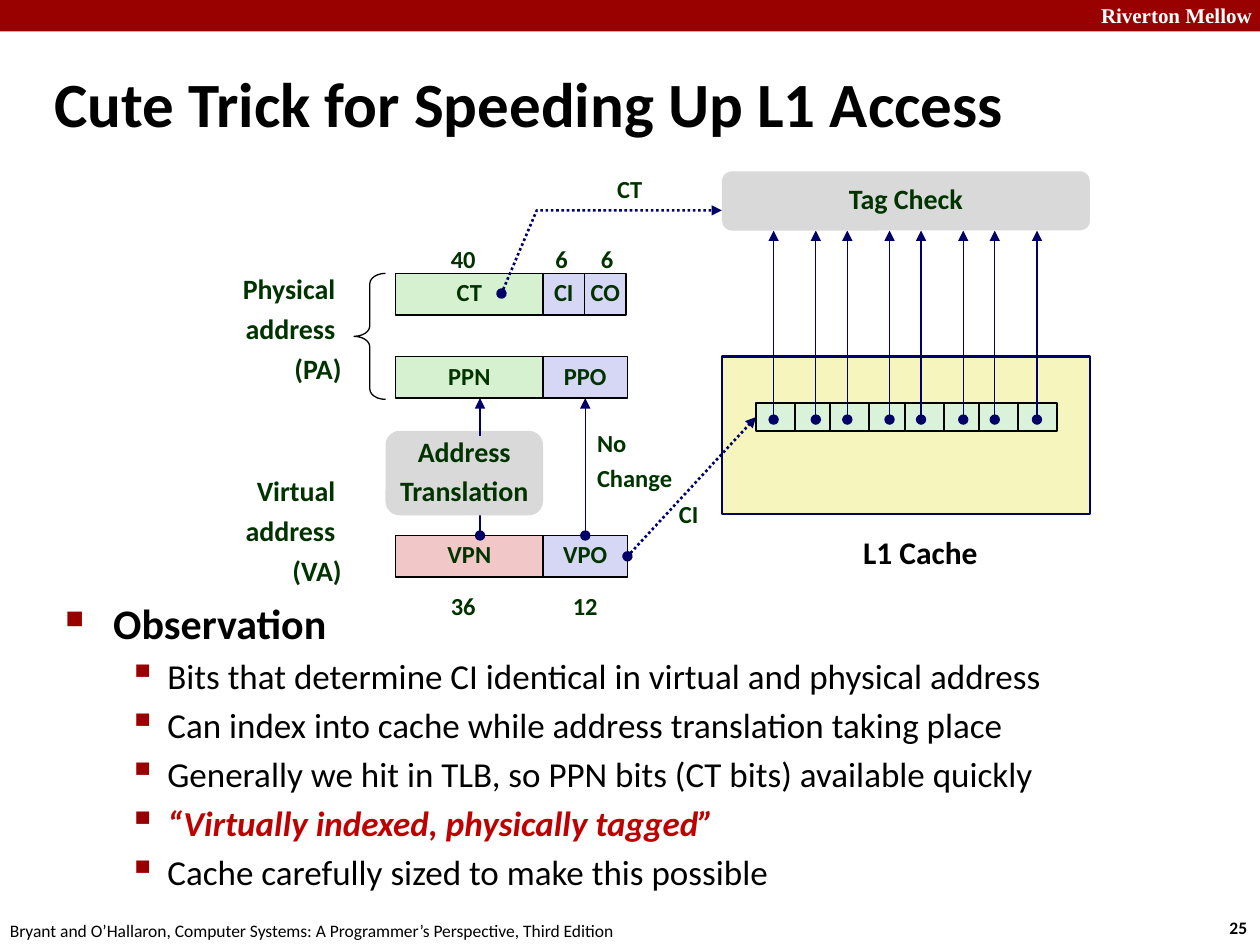
from typing import NamedTuple

from lxml import etree
from pptx import Presentation
from pptx import util as u
from pptx.dml.color import RGBColor
from pptx.enum import dml, shapes, text
from pptx.oxml.ns import qn

RED, NAVY, DARK_GREEN = "990000", "000066", "003300"
BLACK, GREY = "000000", "D9D9D9"
GREEN, LILAC, PINK, YELLOW, MINT = "D5F1CF", "D6D6F5", "F1C7C7", "F6F5BD", "DBF2DA"
LEFT, CENTER, RIGHT = text.PP_ALIGN.LEFT, text.PP_ALIGN.CENTER, text.PP_ALIGN.RIGHT
RECT = shapes.MSO_SHAPE.RECTANGLE
ROUNDED = shapes.MSO_SHAPE.ROUNDED_RECTANGLE


class Style(NamedTuple):
    size: float
    color: str = DARK_GREEN
    bold: bool = True
    italic: bool = False
    align: text.PP_ALIGN = CENTER
    before: float = 5.2
    spacing: float = 0.88
    font: str = "Calibri"


class Field(NamedTuple):
    name: str
    left: float
    top: float
    width: float
    fill: str


class Label(NamedTuple):
    wording: str
    left: float
    top: float
    width: float
    height: float
    style: Style
    wrap: bool = False


class Bullet(NamedTuple):
    wording: str
    style: Style
    char: str = "▪"
    percent: int = 110
    margin: float = 0.81
    hanging: float = 0.31
    level: int = 1


def rgb(color: str) -> RGBColor:
    return RGBColor.from_string(color)


def box(left: float, top: float, width: float, height: float) -> list[u.Length]:
    return [u.Inches(v) for v in (left, top, width, height)]


def style_paragraph(paragraph, style: Style) -> None:
    paragraph.alignment = style.align
    paragraph.space_before = u.Pt(style.before)
    paragraph.line_spacing = style.spacing
    font = paragraph.font
    font.name, font.size = style.font, u.Pt(style.size)
    font.bold, font.italic = style.bold, style.italic
    font.color.rgb = rgb(style.color)


def write(frame, wording: str, style: Style, wrap: bool = False) -> None:
    frame.word_wrap = wrap
    frame.text = wording
    for paragraph in frame.paragraphs:
        style_paragraph(paragraph, style)


def add_label(slide, label: Label) -> None:
    frame = slide.shapes.add_textbox(*box(*label[1:5])).text_frame
    write(frame, label.wording, label.style, label.wrap)


def add_box(slide, kind, bounds: list[u.Length], fill: str | None = None,
            line: str | None = None, weight: float = 0.75):
    shape = slide.shapes.add_shape(kind, *bounds)
    shape.shadow.inherit = False
    if fill:
        shape.fill.solid()
        shape.fill.fore_color.rgb = rgb(fill)
    else:
        shape.fill.background()
    if line:
        shape.line.color.rgb = rgb(line)
        shape.line.width = u.Pt(weight)
    else:
        shape.line.fill.background()
    return shape


def style_arrow(arrow, dotted: bool = False, dot: bool = True) -> None:
    arrow.line.color.rgb = rgb(NAVY)
    arrow.line.width = u.Pt(1.5 if dotted else 0.75)
    if dotted:
        arrow.line.dash_style = dml.MSO_LINE.ROUND_DOT
    ln = arrow.line._get_or_add_ln()
    if dot:
        etree.SubElement(ln, qn("a:headEnd"), type="oval")
    etree.SubElement(ln, qn("a:tailEnd"), type="triangle")


def add_arrow(slide, x1: float, y1: float, x2: float, y2: float,
              dotted: bool = False, dot: bool = True):
    arrow = slide.shapes.add_connector(
        shapes.MSO_CONNECTOR.STRAIGHT, *box(x1, y1, x2, y2))
    style_arrow(arrow, dotted, dot)
    etree.SubElement(arrow._element.spPr, qn("a:effectLst"))
    return arrow


def add_bullet(paragraph, bullet: Bullet) -> None:
    paragraph.text = bullet.wording
    paragraph.level = bullet.level
    properties = paragraph._p.get_or_add_pPr()
    properties.set("marL", str(u.Inches(bullet.margin)))
    properties.set("indent", str(-u.Inches(bullet.hanging)))
    color = etree.SubElement(properties, qn("a:buClr"))
    etree.SubElement(color, qn("a:srgbClr"), val=RED)
    etree.SubElement(properties, qn("a:buSzPct"), val=str(bullet.percent * 1000))
    etree.SubElement(properties, qn("a:buChar"), char=bullet.char)
    style_paragraph(paragraph, bullet.style)


BITS = Style(14)
BITS_LEFT = Style(14, align=LEFT)
ADDRESS = Style(16, align=RIGHT, before=6)
BLOCK = Style(16)
DETAIL = Style(20, BLACK, bold=False, align=LEFT, before=4, spacing=1)

FIELDS = [
    Field("CT", 3.14, 2.17, 1.17, GREEN), Field("CI", 4.31, 2.17, 0.33, LILAC),
    Field("CO", 4.64, 2.17, 0.33, LILAC),
    Field("PPN", 3.14, 2.83, 1.17, GREEN), Field("PPO", 4.31, 2.83, 0.67, LILAC),
    Field("VPN", 3.14, 4.25, 1.17, PINK), Field("VPO", 4.31, 4.25, 0.67, LILAC),
]
LABELS = [
    Label("Riverton Mellow", 8.64, -0.03, 1.43, 0.3,
          Style(12, "FFFFFF", align=LEFT, before=0, spacing=1, font="Times New Roman")),
    Label("25", 9.66, 7.23, 0.37, 0.27, Style(10, BLACK, align=LEFT, before=0, spacing=1)),
    Label("Bryant and O’Hallaron, Computer Systems: A Programmer’s Perspective, Third Edition",
          -0.02, 7.25, 5.08, 0.27,
          Style(10, BLACK, bold=False, align=LEFT, before=0, spacing=1)),
    Label("Physical \naddress \n(PA)", 0.08, 2.14, 2.73, 0.98, ADDRESS, True),
    Label("Virtual \naddress \n(VA)", 1.64, 3.74, 1.17, 0.98, ADDRESS, True),
    Label("40", 3.48, 1.92, 0.4, 0.31, BITS_LEFT),
    Label("6", 4.31, 1.92, 0.3, 0.31, BITS_LEFT),
    Label("6", 4.67, 1.92, 0.3, 0.31, BITS_LEFT),
    Label("36", 3.48, 4.67, 0.4, 0.31, BITS_LEFT),
    Label("12", 4.31, 4.67, 0.67, 0.31, BITS, True),
    Label("No\nChange", 4.64, 3.38, 0.8, 0.59, BITS_LEFT),
    Label("CI", 5.29, 3.94, 0.36, 0.31, BITS_LEFT),
    Label("CT", 4.8, 1.36, 0.4, 0.31, BITS_LEFT),
    Label("L1 Cache", 6.64, 4.18, 1.33, 0.4, Style(18, BLACK, before=0, spacing=1), True),
]
BULLETS = [
    Bullet("Observation", Style(24, BLACK, align=LEFT, before=4.8, spacing=1),
           "■", 60, 0.38, 0.38, 0),
    Bullet("Bits that determine CI identical in virtual and physical address", DETAIL),
    Bullet("Can index into cache while address translation taking place", DETAIL),
    Bullet("Generally we hit in TLB, so PPN bits (CT bits) available quickly", DETAIL),
    Bullet("“Virtually indexed, physically tagged”",
           DETAIL._replace(color="C00000", bold=True, italic=True)),
    Bullet("Cache carefully sized to make this possible", DETAIL),
]


def main() -> None:
    deck = Presentation()
    deck.slide_width, deck.slide_height = u.Inches(10), u.Inches(7.5)
    slide = deck.slides.add_slide(deck.slide_layouts[5])

    # Title and header band
    title = slide.shapes.title
    title.left, title.top, title.width, title.height = box(0.33, 0.5, 8.67, 0.63)
    write(title.text_frame, "Cute Trick for Speeding Up L1 Access",
          Style(36, BLACK, align=LEFT, before=0, spacing=1), True)
    title.text_frame.vertical_anchor = text.MSO_ANCHOR.MIDDLE
    add_box(slide, RECT, box(0, 0, 10, 0.25), RED)

    # Observations
    observations = slide.shapes.add_textbox(*box(0.42, 4.69, 9.35, 2.56)).text_frame
    observations.word_wrap = True
    for index, bullet in enumerate(BULLETS):
        add_bullet(observations.add_paragraph() if index else observations.paragraphs[0],
                   bullet)

    # Address fields and the brace around the physical address
    fields = {}
    for field in FIELDS:
        bounds = box(field.left, field.top, field.width, 0.33)
        fields[field.name] = add_box(slide, RECT, bounds, field.fill, BLACK)
        write(fields[field.name].text_frame, field.name, BITS)
    brace = add_box(slide, shapes.MSO_SHAPE.LEFT_BRACE, box(2.81, 2.17, 0.25, 1), line=BLACK)
    brace.adjustments[0] = 0.33

    # Translation from virtual to physical
    add_arrow(slide, 3.81, 4.25, 3.81, 4)
    translation = add_box(slide, ROUNDED, box(3.06, 3.42, 1.25, 0.67), GREY)
    write(translation.text_frame, "Address\nTranslation", BLOCK)
    add_arrow(slide, 3.81, 3.46, 3.81, 3.16, dot=False)
    no_change = add_arrow(slide, 4.64, 4.25, 4.64, 3.16)
    no_change.begin_connect(fields["VPO"], 0)
    no_change.end_connect(fields["PPO"], 2)

    # L1 cache: four pairs of lines, each sending its tag up
    add_box(slide, RECT, box(5.73, 2.83, 2.92, 1.25), YELLOW, NAVY, 1.5)
    cache_lines = [
        add_box(slide, RECT, box(6 + 0.59 * pair + 0.31 * side, 3.2, 0.31, 0.22),
                MINT, BLACK, 1)
        for pair in range(4) for side in range(2)]
    for pair in range(4):
        for side in range(2):
            x = 6.14 + 0.585 * pair + 0.335 * side
            add_arrow(slide, x, 3.33, x, 1.83)
    index_arrow = add_arrow(slide, 4.98, 4.42, 6, 3.31, dotted=True)
    index_arrow.begin_connect(fields["VPO"], 3)
    index_arrow.end_connect(cache_lines[0], 1)

    # Tag check, reached from the CT field
    tag_check = add_box(slide, ROUNDED, box(5.73, 1.36, 2.92, 0.47), GREY)
    write(tag_check.text_frame, "Tag Check", BLOCK)
    route = slide.shapes.build_freeform(u.Inches(3.98), u.Inches(2.33))
    route.add_line_segments([(u.Inches(x), u.Inches(1.67)) for x in (4.26, 5.73)], close=False)
    tag_route = route.convert_to_shape()
    tag_route.shadow.inherit = False
    tag_route.fill.background()
    style_arrow(tag_route, dotted=True)

    for label in LABELS:
        add_label(slide, label)
    deck.save("out.pptx")


if __name__ == "__main__":
    main()
